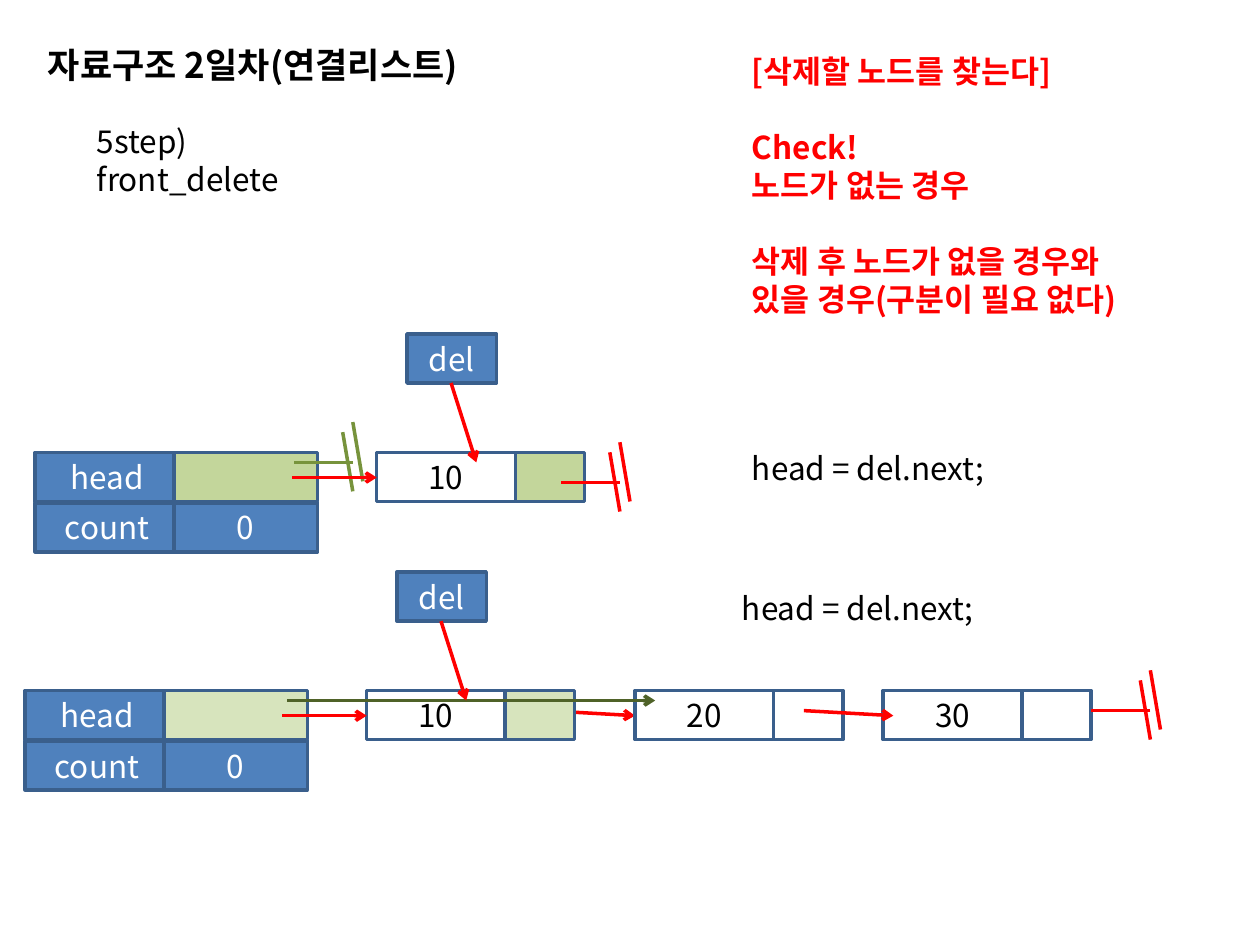
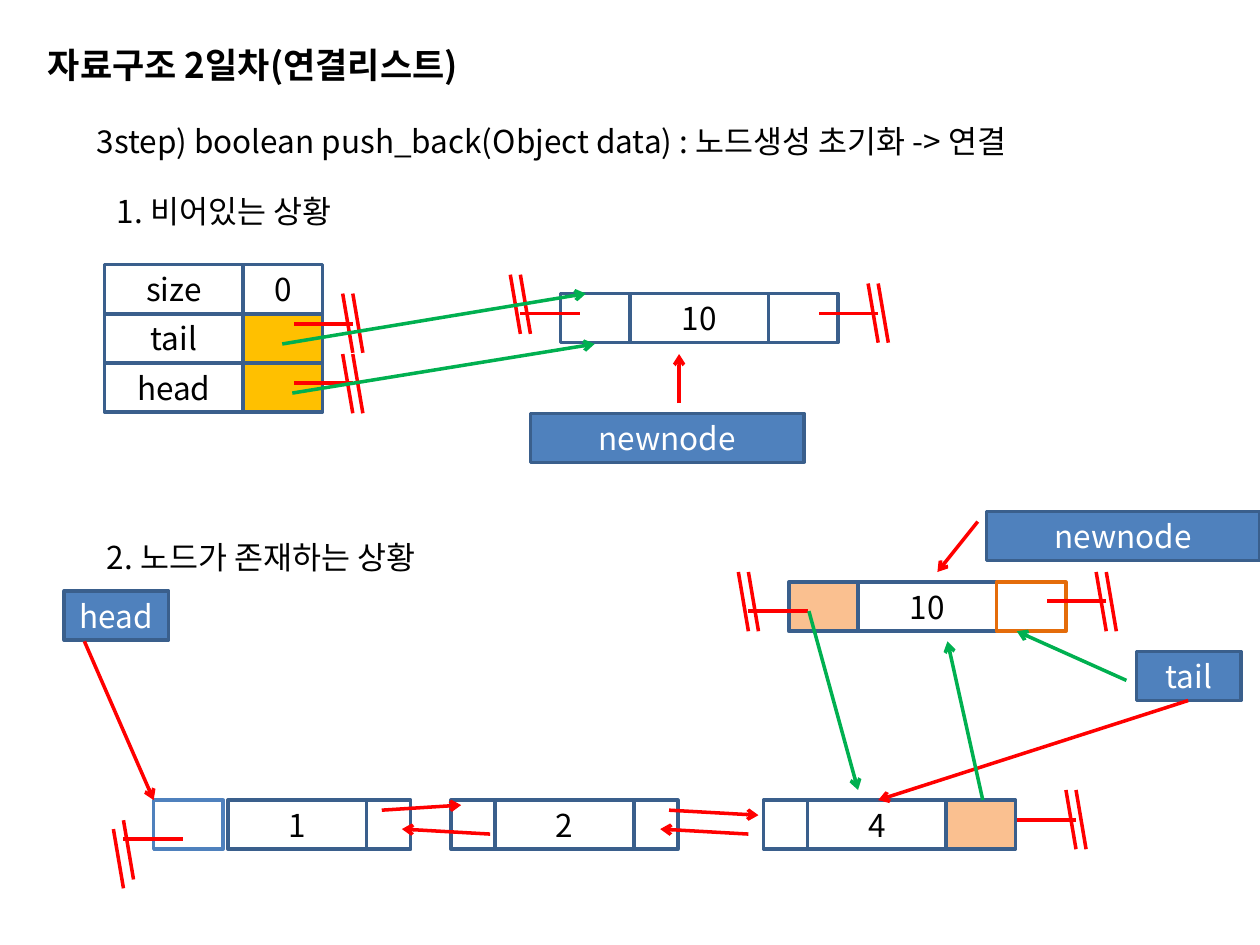
import pptx
import pptx.dml.color
import pptx.enum.shapes
import pptx.enum.text
import pptx.oxml.ns
import pptx.util
from dataclasses import dataclass
from lxml import etree

Inches, Pt = pptx.util.Inches, pptx.util.Pt
ANCHOR, ALIGN = pptx.enum.text.MSO_ANCHOR, pptx.enum.text.PP_ALIGN


@dataclass(frozen=True)
class Theme:
    font: str = "Noto Sans CJK KR"
    title_size: int = 20
    body_size: int = 18
    line_height: float = 1.21
    stroke: int = 2
    black: str = "000000"
    white: str = "FFFFFF"
    red: str = "FF0000"
    green: str = "00B050"
    olive: str = "77933C"
    dark_olive: str = "4F6228"
    blue: str = "4F81BD"
    navy: str = "3A5F8C"
    lime: str = "C3D69B"
    pale_lime: str = "D7E4BD"
    gold: str = "FFC000"
    peach: str = "FAC090"
    orange: str = "E46C0A"


THEME = Theme()

# Cell styles: fill, outline, text colour
STYLES = {
    "plain": (None, THEME.navy, THEME.black),
    "label": (THEME.blue, THEME.navy, THEME.white),
    "lime": (THEME.lime, THEME.navy, THEME.black),
    "pale lime": (THEME.pale_lime, THEME.navy, THEME.black),
    "gold": (THEME.gold, THEME.navy, THEME.black),
    "peach": (THEME.peach, THEME.navy, THEME.black),
    "orange edge": (None, THEME.orange, THEME.black),
    "blue edge": (None, THEME.blue, THEME.black),
}

# Sizes in inches
CELL_HEIGHT = 0.39
DATA, LINK, SHORT_LINK, HEAD = 1.1, 0.55, 0.35, 1.14
HEAD_OVERLAP = 0.04
STUB, BAR_SLANT, BAR_HEIGHT = 0.47, 0.08, 0.47

TITLE = "자료구조 2일차(연결리스트)"
TITLE_PLACE = (0.28, 0.29, 6.54, 0.44)


def head_table(left, top, link_style):
    """Rows of the head and count table."""
    return [
        (left, top, HEAD_OVERLAP, [(HEAD, "head", "label"), (HEAD, "", link_style)]),
        (left, top + 0.4, HEAD_OVERLAP, [(HEAD, "count", "label"), (HEAD, "0", "label")]),
    ]


def node(left, top, value, link_style="plain"):
    """Row of a singly linked node."""
    return (left, top, 0, [(DATA, value, "plain"), (LINK, "", link_style)])


# texts: left, top, width, height, colour, bold, [(line, blank lines before)]
# rows: left, top, overlap, [(width, text, style)]
# arrows: colour, from x, from y, to x, to y
# grounds: colour, join x, y, stub direction, drop of first bar, rise of second bar
FRONT_DELETE = {
    "texts": [
        (0.67, 0.92, 2.35, 0.7, THEME.black, False, [("5step)\vfront_delete", 0)]),
        (5.87, 0.36, 3.43, 2.22, THEME.red, True, [
            ("[삭제할 노드를 찾는다]", 0),
            ("Check!", 1),
            ("노드가 없는 경우", 0),
            ("삭제 후 노드가 없을 경우와", 1),
            ("있을 경우(구분이 필요 없다)", 0),
        ]),
        (5.87, 3.51, 2.16, 0.4, THEME.black, False, [("head = del.next;", 0)]),
        (5.79, 4.62, 2.16, 0.4, THEME.black, False, [("head = del.next;", 0)]),
    ],
    "back_arrows": [(THEME.red, 4.33, 5.64, 5.04, 5.68)],
    "rows": [
        *head_table(0.28, 3.59, "lime"),
        node(2.99, 3.59, "10", "lime"),
        (3.23, 2.65, 0, [(0.71, "del", "label")]),
        *head_table(0.2, 5.48, "pale lime"),
        node(2.91, 5.48, "10", "pale lime"),
        node(5.04, 5.48, "20"),
        node(7.01, 5.48, "30"),
        (3.15, 4.54, 0, [(0.71, "del", "label")]),
    ],
    "arrows": [
        (THEME.red, 2.32, 3.79, 2.99, 3.79),
        (THEME.red, 3.58, 3.04, 3.78, 3.67),
        (THEME.red, 2.24, 5.68, 2.91, 5.68),
        (THEME.red, 6.38, 5.64, 7.09, 5.68),
        (THEME.dark_olive, 2.28, 5.56, 5.2, 5.56),
        (THEME.red, 3.5, 4.93, 3.7, 5.56),
    ],
    "grounds": [
        (THEME.red, 4.92, 3.83, -1, 0.24, 0.08),
        (THEME.red, 9.13, 5.64, -1, 0.24, 0.08),
        (THEME.olive, 2.8, 3.67, -1, 0.24, 0.08),
    ],
}

PUSH_BACK = {
    "texts": [
        (0.67, 0.92, 7.83, 0.4, THEME.black, False,
         [("3step) boolean push_back(Object data) : 노드생성 초기화 -> 연결", 0)]),
        (0.83, 1.47, 2.09, 0.4, THEME.black, False, [("1. 비어있는 상황", 0)]),
        (0.75, 4.22, 2.94, 0.4, THEME.black, False, [("2. 노드가 존재하는 상황", 0)]),
    ],
    "back_arrows": [],
    "rows": [
        # Empty list
        (0.83, 2.88, 0, [(DATA, "head", "plain"), (0.63, "", "gold")]),
        (0.83, 2.49, 0, [(DATA, "tail", "plain"), (0.63, "", "gold")]),
        (0.83, 2.1, 0, [(DATA, "size", "plain"), (0.63, "0", "plain")]),
        (4.45, 2.33, 0, [(LINK, "", "plain"), (DATA, "10", "plain"), (LINK, "", "plain")]),
        (4.21, 3.28, 0, [(2.17, "newnode", "label")]),
        # List with nodes
        (0.51, 4.69, 0, [(0.83, "head", "label")]),
        (9.02, 5.17, 0, [(0.83, "tail", "label")]),
        (7.83, 4.06, 0, [(2.17, "newnode", "label")]),
        (1.22, 6.35, 0, [(LINK, "", "blue edge")]),
        (1.81, 6.35, 0, [(DATA, "1", "plain"), (SHORT_LINK, "", "plain")]),
        (3.58, 6.35, 0, [(SHORT_LINK, "", "plain"), (DATA, "2", "plain"),
                         (SHORT_LINK, "", "plain")]),
        (6.06, 6.35, 0, [(SHORT_LINK, "", "plain"), (DATA, "4", "plain"), (LINK, "", "peach")]),
        (6.26, 4.62, 0, [(LINK, "", "peach"), (DATA, "10", "plain"), (LINK, "", "orange edge")]),
    ],
    "arrows": [
        (THEME.red, 5.39, 3.2, 5.39, 2.81),
        (THEME.red, 0.67, 5.09, 1.22, 6.35),
        (THEME.red, 3.03, 6.43, 3.66, 6.39),
        (THEME.red, 3.89, 6.62, 3.19, 6.58),
        (THEME.red, 5.31, 6.43, 6.02, 6.47),
        (THEME.red, 5.94, 6.62, 5.24, 6.58),
        (THEME.red, 9.43, 5.56, 6.97, 6.35),
        (THEME.red, 7.76, 4.14, 7.44, 4.54),
        (THEME.green, 2.32, 3.12, 4.72, 2.73),
        (THEME.green, 2.24, 2.73, 4.65, 2.33),
        (THEME.green, 7.8, 6.35, 7.52, 5.09),
        (THEME.green, 6.42, 4.85, 6.81, 6.27),
        (THEME.green, 8.94, 5.4, 8.07, 5.01),
    ],
    "grounds": [
        (THEME.red, 2.8, 3.04, -1, 0.23, 0),
        (THEME.red, 2.8, 2.57, -1, 0.24, 0),
        (THEME.red, 6.97, 2.49, -1, 0.24, 0),
        (THEME.red, 4.13, 2.49, 1, 0.31, 0),
        (THEME.red, 0.98, 6.66, 1, 0.08, 0.07),
        (THEME.red, 8.54, 6.51, -1, 0.24, 0),
        (THEME.red, 8.78, 4.77, -1, 0.23, 0),
        (THEME.red, 5.94, 4.85, 1, 0.31, 0),
    ],
}


def rgb(value):
    return pptx.dml.color.RGBColor.from_string(value)


def apply(target, values):
    """Set each attribute named in values."""
    for name, value in values.items():
        setattr(target, name, value)


def add_element(parent, tag, **attributes):
    return etree.SubElement(parent, pptx.oxml.ns.qn(tag), attributes)


def format_para(para, size, color, bold=False, **layout):
    apply(para, layout)
    for span in para.runs:
        apply(span.font, {"name": THEME.font, "size": Pt(size), "bold": bold})
        span.font.color.rgb = rgb(color)
        add_element(span.font._element, "a:ea", typeface=THEME.font)


def fill_text(box, lines, size, color, bold):
    """Write top-left text with a fixed line pitch."""
    frame = box.text_frame
    apply(frame, {"word_wrap": True, "vertical_anchor": ANCHOR.TOP,
                  "auto_size": pptx.enum.text.MSO_AUTO_SIZE.NONE})
    pitch = size * THEME.line_height
    for index, (line, blanks) in enumerate(lines):
        para = frame.add_paragraph() if index else frame.paragraphs[0]
        para.text = line
        format_para(para, size, color, bold, alignment=ALIGN.LEFT,
                    line_spacing=Pt(pitch), space_before=Pt(blanks * pitch))


def add_cell(page, left, top, width, text, style):
    fill, edge, color = STYLES[style]
    cell = page.shapes.add_shape(pptx.enum.shapes.MSO_SHAPE.RECTANGLE,
                                 *map(Inches, (left, top, width, CELL_HEIGHT)))
    cell.shadow.inherit = False
    if fill:
        cell.fill.solid()
        cell.fill.fore_color.rgb = rgb(fill)
    else:
        cell.fill.background()
    cell.line.color.rgb = rgb(edge)
    cell.line.width = Pt(THEME.stroke)
    if text:
        cell.text_frame.vertical_anchor = ANCHOR.MIDDLE
        para = cell.text_frame.paragraphs[0]
        para.text = text
        format_para(para, THEME.body_size, color, alignment=ALIGN.CENTER)


def add_line(page, color, *ends, arrow=False):
    line = page.shapes.add_connector(pptx.enum.shapes.MSO_CONNECTOR.STRAIGHT,
                                     *map(Inches, ends))
    line.line.color.rgb = rgb(color)
    line.line.width = Pt(THEME.stroke)
    if arrow:
        add_element(line.line._get_or_add_ln(), "a:tailEnd", type="arrow")
    add_element(line._element.spPr, "a:effectLst")


def add_ground(page, color, x, y, direction, drop, rise):
    """Draw the null mark: a stub and two slanted bars."""
    add_line(page, color, x, y, x + direction * STUB, y)
    for left, top in ((x - BAR_SLANT, y - drop), (x, y - drop - rise)):
        add_line(page, color, left, top, left + BAR_SLANT, top + BAR_HEIGHT)


def add_page(deck, content):
    page = deck.slides.add_slide(deck.slide_layouts.get_by_name("Title Only"))

    # Title and notes on the method
    title = page.shapes.title
    apply(title, dict(zip(("left", "top", "width", "height"), map(Inches, TITLE_PLACE))))
    fill_text(title, [(TITLE, 0)], THEME.title_size, THEME.black, True)
    for *place, color, bold, lines in content["texts"]:
        box = page.shapes.add_textbox(*map(Inches, place))
        fill_text(box, lines, THEME.body_size, color, bold)

    # Nodes, then pointers above them
    for color, *ends in content["back_arrows"]:
        add_line(page, color, *ends, arrow=True)
    for left, top, overlap, cells in content["rows"]:
        for width, text, style in cells:
            add_cell(page, left, top, width, text, style)
            left += width - overlap
    for ground in content["grounds"]:
        add_ground(page, *ground)
    for color, *ends in content["arrows"]:
        add_line(page, color, *ends, arrow=True)


def main():
    deck = pptx.Presentation()
    deck.slide_width, deck.slide_height = Inches(10), Inches(7.5)
    for content in (FRONT_DELETE, PUSH_BACK):
        add_page(deck, content)
    deck.save("out.pptx")


if __name__ == "__main__":
    main()
